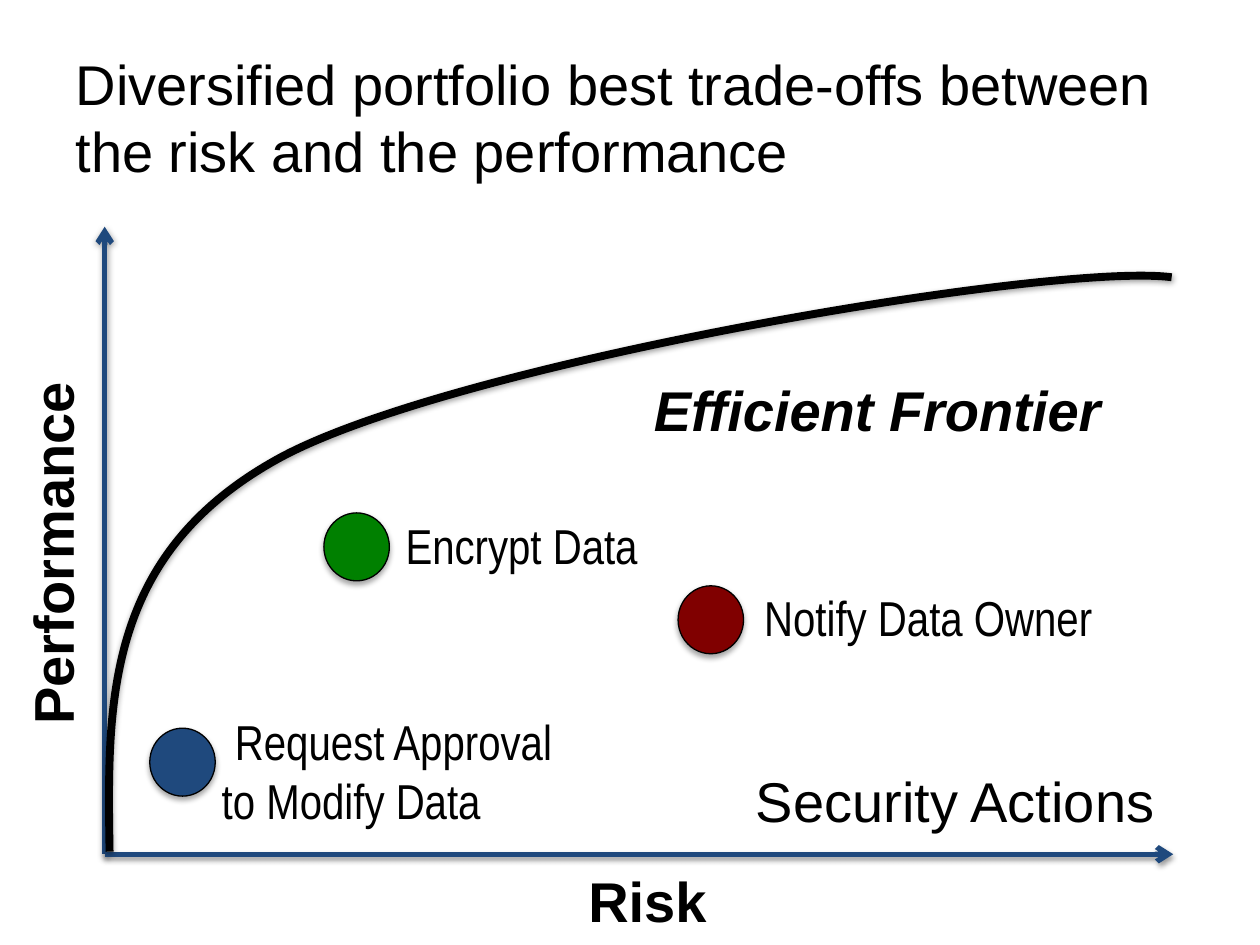
from lxml.etree import SubElement
from pptx import Presentation
from pptx.dml.color import RGBColor
from pptx.enum.shapes import MSO_CONNECTOR, MSO_SHAPE
from pptx.enum.text import MSO_ANCHOR, MSO_AUTO_SIZE, PP_ALIGN
from pptx.oxml.ns import qn
from pptx.util import Cm, Pt

COLOURS = {"ink": "000000", "blue": "1F497D", "green": "008000", "red": "800000"}
HEADING = {"name": "Arial", "size": Pt(32)}
BOLD = {**HEADING, "bold": True}
ACTION = {"name": "Arial Narrow", "size": Pt(28)}
LEFT, CENTRE = PP_ALIGN.LEFT, PP_ALIGN.CENTER


def rgb(colour):
    return RGBColor.from_string(COLOURS[colour])


class TradeOffSlide:
    def __init__(self, slide):
        self.slide = slide
        self.shapes = slide.shapes

    def _outline(self, shape, colour, width):
        shape.line.color.rgb = rgb(colour)
        shape.line.width = Pt(width)

    def _shadow(self, shape, distance, opacity):
        """Drop a soft shadow straight down; distance in EMU, opacity in percent."""
        effects = SubElement(shape.element.spPr, qn("a:effectLst"))
        shadow = SubElement(effects, qn("a:outerShdw"), blurRad="40000",
                            dist=str(distance), dir="5400000", rotWithShape="0")
        tint = SubElement(shadow, qn("a:srgbClr"), val=COLOURS["ink"])
        SubElement(tint, qn("a:alpha"), val=str(opacity * 1000))

    def _write(self, frame, lines, style, alignments):
        for index, (line, alignment) in enumerate(zip(lines, alignments)):
            paragraph = frame.paragraphs[0] if index == 0 else frame.add_paragraph()
            paragraph.alignment = alignment
            run = paragraph.add_run()
            run.text = line
            for attribute, value in style.items():
                setattr(run.font, attribute, value)
            run.font.color.rgb = rgb("ink")

    def title(self, wording, box):
        heading = self.shapes.title
        heading.left, heading.top, heading.width, heading.height = map(Cm, box)
        heading.text_frame.vertical_anchor = MSO_ANCHOR.MIDDLE
        self._write(heading.text_frame, [wording], HEADING, [LEFT])

    def label(self, lines, box, style, alignments=(LEFT,), wrap=True, rotation=0):
        caption = self.shapes.add_textbox(*map(Cm, box))
        caption.rotation = rotation
        caption.text_frame.word_wrap = wrap
        caption.text_frame.auto_size = MSO_AUTO_SIZE.SHAPE_TO_FIT_TEXT
        self._write(caption.text_frame, lines, style, alignments)

    def axis(self, start, end):
        axis = self.shapes.add_connector(MSO_CONNECTOR.STRAIGHT, *map(Cm, start + end))
        self._outline(axis, "blue", 3)
        SubElement(axis.element.spPr.find(qn("a:ln")), qn("a:tailEnd"), type="arrow")
        self._shadow(axis, 20000, 38)

    def curve(self, start, segments):
        """Draw cubic segments, each given as two control points and an end point."""
        builder = self.shapes.build_freeform(*map(Cm, start))
        ends = [tuple(map(Cm, segment[-1])) for segment in segments]
        builder.add_line_segments(ends, close=False)
        curve = builder.convert_to_shape()
        straight_parts = list(curve.element.iter(qn("a:lnTo")))
        for straight, segment in zip(straight_parts, segments):
            straight.clear()
            cubic = SubElement(straight.getparent(), qn("a:cubicBezTo"))
            straight.getparent().replace(straight, cubic)
            for x, y in segment:
                SubElement(cubic, qn("a:pt"), x=str(Cm(x) - curve.left),
                           y=str(Cm(y) - curve.top))
        curve.fill.background()
        self._outline(curve, "ink", 4.5)
        self._shadow(curve, 20000, 38)

    def dot(self, left, top, colour):
        dot = self.shapes.add_shape(MSO_SHAPE.OVAL, Cm(left), Cm(top), Cm(1.32), Cm(1.37))
        dot.fill.solid()
        dot.fill.fore_color.rgb = rgb(colour)
        self._outline(dot, "ink", 0.75)
        self._shadow(dot, 23000, 35)


def main():
    deck = Presentation()
    deck.slide_width, deck.slide_height = Cm(25.4), Cm(19.05)
    page = TradeOffSlide(deck.slides.add_slide(deck.slide_layouts[5]))

    page.title("Diversified portfolio best trade-offs between the risk and the performance",
               (1.27, 0.76, 22.86, 3.18))

    origin = (2.11, 17.22)
    for axis_end in ((2.11, 4.57), (23.65, 17.22)):
        page.axis(origin, axis_end)
    page.label(["Risk"], (11.61, 17.35, 2.95, 1.63), BOLD, wrap=False)
    page.label(["Performance"], (-5.59, 10.34, 13.28, 1.63), BOLD, [CENTRE], rotation=270)

    page.curve((2.21, 17.17), [
        ((2.16, 14.15), (2.11, 11.15), (5.66, 9.22)),
        ((9.25, 7.29), (21.29, 5.28), (23.62, 5.59)),
    ])
    page.label(["Efficient Frontier"], (12.93, 7.44, 10.31, 1.63), {**BOLD, "italic": True})

    for left, top, colour in ((6.53, 10.34, "green"), (3.02, 14.68, "blue"),
                              (13.67, 11.81, "red")):
        page.dot(left, top, colour)

    page.label(["Security Actions"], (14.99, 15.32, 9.14, 1.63), HEADING)
    page.label(["Request Approval", "to Modify Data"], (4.22, 14.22, 7.42, 2.64),
               ACTION, [CENTRE, LEFT])
    page.label(["Notify Data Owner"], (14.99, 11.71, 7.44, 1.45), ACTION, [CENTRE])
    page.label(["Encrypt Data"], (7.85, 10.26, 5.33, 1.45), ACTION, [CENTRE])

    deck.save("out.pptx")


if __name__ == "__main__":
    main()
